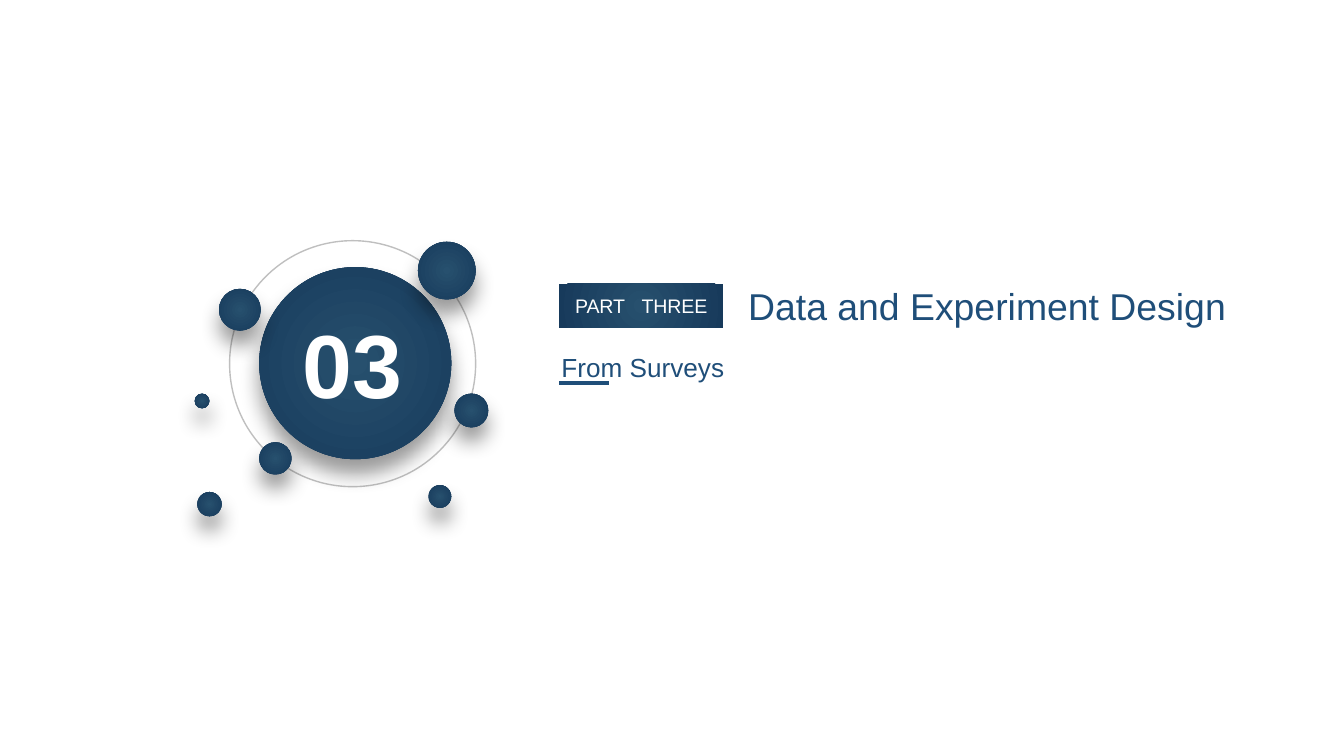
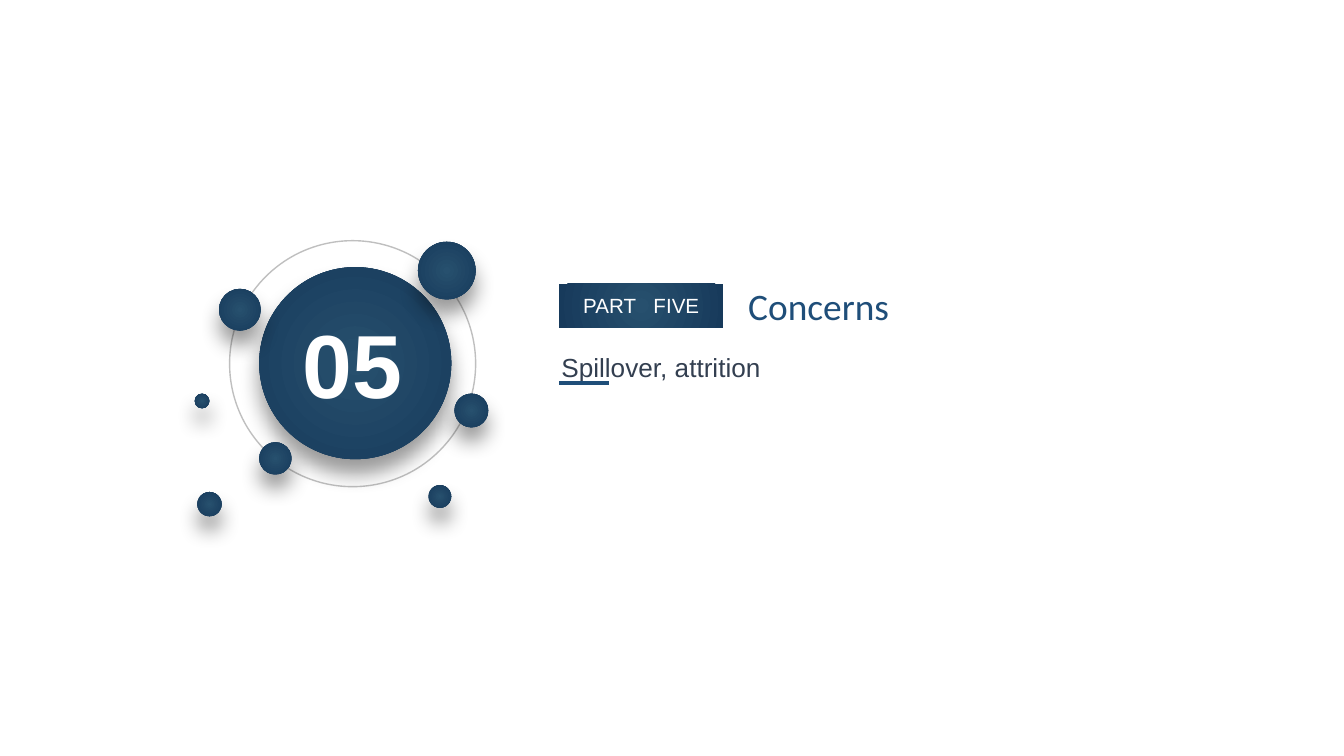
"""Build two section divider slides with a numbered orbit emblem."""
from lxml import etree
from pptx import Presentation
from pptx.dml.color import RGBColor
from pptx.enum.shapes import MSO_CONNECTOR, MSO_SHAPE
from pptx.enum.text import MSO_ANCHOR, MSO_AUTO_SIZE, PP_ALIGN
from pptx.oxml import parse_xml
from pptx.oxml.ns import nsdecls, qn
from pptx.util import Cm, Pt

OVAL, RECT = MSO_SHAPE.OVAL, MSO_SHAPE.RECTANGLE
STRAIGHT = MSO_CONNECTOR.STRAIGHT
LEFT, CENTER = PP_ALIGN.LEFT, PP_ALIGN.CENTER
MIDDLE = MSO_ANCHOR.MIDDLE
GROW = MSO_AUTO_SIZE.SHAPE_TO_FIT_TEXT

COLORS = {
    "glow": "27506E",
    "rim": "173A5B",
    "accent": "1F4E79",
    "slate": "333F50",
    "ring": "BFBFBF",
    "white": "FFFFFF",
    "shadow": "000000",
}
RADIAL = (f'<a:path {nsdecls("a")} path="circle">'
          '<a:fillToRect l="50000" t="50000" r="50000" b="50000"/></a:path>')
SHADOW = (f'<a:outerShdw {nsdecls("a")} blurRad="{Pt(11)}" dist="{Pt(8)}" '
          'dir="5400000" algn="t" rotWithShape="0">'
          f'<a:srgbClr val="{COLORS["shadow"]}"><a:alpha val="40000"/>'
          '</a:srgbClr></a:outerShdw>')
SATELLITES = [
    (7.9, 4.57, 1.09),
    (4.14, 5.46, 0.79),
    (3.73, 9.3, 0.46),
    (4.9, 8.36, 0.61),
    (8.59, 7.44, 0.64),
    (8.1, 9.17, 0.43),
    (3.68, 7.44, 0.28),
]
SECTIONS = [
    {"number": "03", "ordinal": "THREE", "tag_size": 10.5,
     "title": "Data and Experiment Design", "title_width": 9.63,
     "title_font": "Arial", "subtitle": "From Surveys",
     "subtitle_width": 3.61, "subtitle_color": "accent"},
    {"number": "05", "ordinal": "FIVE", "tag_size": 11,
     "title": "Concerns", "title_width": 3.18,
     "title_font": "Calibri", "subtitle": "Spillover, attrition",
     "subtitle_width": 4.29, "subtitle_color": "slate"},
]


class Deck:
    """Hold the shared style and the current slide."""

    def __init__(self):
        """Start an empty widescreen deck."""
        self.prs = Presentation()
        self.prs.slide_width, self.prs.slide_height = Cm(25.4), Cm(14.29)
        self.slide = None

    def color(self, name):
        """Return a named colour."""
        return RGBColor.from_string(COLORS[name])

    def new_slide(self):
        """Add a blank slide and make it current."""
        self.slide = self.prs.slides.add_slide(self.prs.slide_layouts[6])

    def run(self, paragraph, words, size, color, font="Arial", bold=None):
        """Add one styled run and return it."""
        run = paragraph.add_run()
        run.text = words
        run.font.size, run.font.name, run.font.bold = Pt(size), font, bold
        run.font.color.rgb = self.color(color)
        return run

    def label(self, words, box, size, color, font="Arial", bold=None,
              align=LEFT, spacing=None, parent=None):
        """Add an unwrapped text box."""
        shapes = (parent or self.slide).shapes
        frame = shapes.add_textbox(*map(Cm, box)).text_frame
        frame.word_wrap, frame.auto_size = False, GROW
        paragraph = frame.paragraphs[0]
        paragraph.alignment, paragraph.line_spacing = align, spacing
        self.run(paragraph, words, size, color, font, bold)

    def radial(self, kind, box, shadow=False, parent=None):
        """Add a borderless shape with the radial fill."""
        shapes = (parent or self.slide).shapes
        shape = shapes.add_shape(kind, *map(Cm, box))
        shape.fill.gradient()
        for stop, name in zip(shape.fill.gradient_stops, ("glow", "rim")):
            stop.color.rgb = self.color(name)
        gradient = shape.element.spPr.find(qn("a:gradFill"))
        gradient.replace(gradient.find(qn("a:lin")), parse_xml(RADIAL))
        shape.line.fill.background()
        shape.shadow.inherit = False
        if shadow:
            effects = shape.element.spPr.find(qn("a:effectLst"))
            effects.append(parse_xml(SHADOW))
        return shape

    def ball(self, left, top, size, parent=None):
        """Add a shadowed ball."""
        self.radial(OVAL, (left, top, size, size), True, parent)

    def ring(self, left, top, size):
        """Add the thin orbit outline."""
        orbit = self.slide.shapes.add_shape(
            OVAL, *map(Cm, (left, top, size, size)))
        orbit.fill.background()
        orbit.line.color.rgb, orbit.line.width = self.color("ring"), Pt(0.75)
        orbit.shadow.inherit = False

    def rule(self, left, right, level):
        """Add a short horizontal accent line."""
        accent = self.slide.shapes.add_connector(
            STRAIGHT, *map(Cm, (left, level, right, level)))
        accent.line.color.rgb, accent.line.width = self.color("accent"), Pt(2.25)
        etree.SubElement(accent.element.spPr, qn("a:effectLst"))

    def tag(self, ordinal, box, size):
        """Add the part tag with a widened gap between its words."""
        frame = self.radial(RECT, box).text_frame
        frame.word_wrap, frame.vertical_anchor = False, MIDDLE
        paragraph = frame.paragraphs[0]
        paragraph.alignment = CENTER
        self.run(paragraph, "PART", size, "white")
        gap = self.run(paragraph, " ", size, "white")
        gap.font.element.set("spc", str(round(size * 56)))if hasattr(
            gap.font, "element") else gap._r.get_or_add_rPr().set(
            "spc", str(round(size * 56)))
        self.run(paragraph, ordinal, size, "white")

    def emblem(self, number):
        """Add the numbered disc as a group."""
        group = self.slide.shapes.add_group_shape()
        self.ball(4.9, 5.05, 3.63, group)
        self.label(number, (5.46, 5.72, 2.41, 2.31), 48, "white",
                   bold=True, align=CENTER, parent=group)

    def section(self, part):
        """Add one section divider slide."""
        self.new_slide()
        self.ring(4.34, 4.55, 4.65)
        self.emblem(part["number"])
        self.label(part["title"], (13.89, 5.23, part["title_width"], 1.12),
                   20, "accent", part["title_font"])
        self.label(part["subtitle"],
                   (10.36, 6.22, part["subtitle_width"], 1.04),
                   14, part["subtitle_color"], spacing=1.5)
        self.rule(10.57, 11.51, 7.24)
        self.tag(part["ordinal"], (10.57, 5.36, 3.1, 0.84), part["tag_size"])
        for satellite in SATELLITES:
            self.ball(*satellite)


def main():
    """Build and save the deck."""
    deck = Deck()
    for part in SECTIONS:
        deck.section(part)
    deck.prs.save("out.pptx")


if __name__ == "__main__":
    main()
